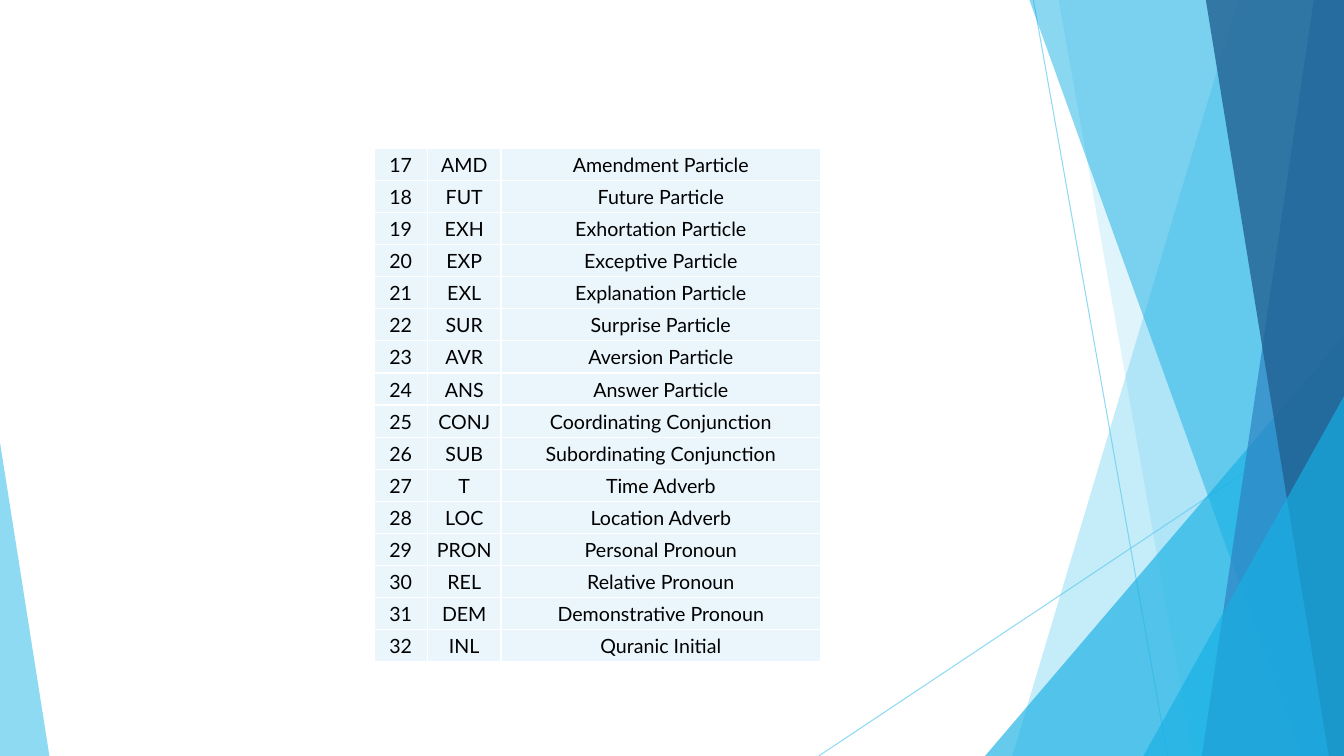
from lxml import etree
from pptx import Presentation
from pptx.dml.color import RGBColor
from pptx.enum.shapes import MSO_CONNECTOR, MSO_SHAPE
from pptx.enum.text import MSO_ANCHOR, PP_ALIGN
from pptx.oxml import parse_xml
from pptx.oxml.ns import nsdecls, qn
from pptx.util import Inches, Pt

WIDTH, HEIGHT = 13.33, 7.5
SKY, AZURE, BLUE, NAVY = "5FCBEF", "17B0E4", "2E83C3", "226292"
CELL_FILL, TEXT, BORDER = "EAF6FC", "000000", "FFFFFF"

FIRST_NUMBER = 17
TAGS = [
    ("AMD", "Amendment Particle"),
    ("FUT", "Future Particle"),
    ("EXH", "Exhortation Particle"),
    ("EXP", "Exceptive Particle"),
    ("EXL", "Explanation Particle"),
    ("SUR", "Surprise Particle"),
    ("AVR", "Aversion Particle"),
    ("ANS", "Answer Particle"),
    ("CONJ", "Coordinating Conjunction"),
    ("SUB", "Subordinating Conjunction"),
    ("T", "Time Adverb"),
    ("LOC", "Location Adverb"),
    ("PRON", "Personal Pronoun"),
    ("REL", "Relative Pronoun"),
    ("DEM", "Demonstrative Pronoun"),
    ("INL", "Quranic Initial"),
]
TABLE_LEFT, TABLE_TOP, TABLE_HEIGHT = 3.71, 1.47, 5.1
COLUMN_WIDTHS = [0.53, 0.73, 3.17]

RAYS = [(10.25, 0, 11.58, HEIGHT), (WIDTH, 4.03, 8.12, HEIGHT)]

# Back to front. Band: left edge at top and bottom, running to the slide's right side.
# Wedge: left, top, width and apex position, standing on the slide's bottom.
FACETS = [
    ("band", (12.28, 10.04), SKY, 36),
    ("band", (10.5, 11.83), SKY, 20),
    ("wedge", (9.77, 3.33, 3.56, 1), AZURE, 66),
    ("band", (10.21, 12.91), AZURE, 50),
    ("band", (13.03, 11.92), BLUE, 70),
    ("band", (11.96, 13.18), NAVY, 80),
    ("wedge", (11.34, 3.93, 1.99, 1), AZURE, 66),
    ("wedge", (0, 4.39, 0.49, 0), SKY, 70),
]


def rgb(color):
    return RGBColor.from_string(color)


def set_opacity(color_parent, percent):
    color = color_parent.find(".//" + qn("a:srgbClr"))
    etree.SubElement(color, qn("a:alpha")).set("val", str(percent * 1000))


def add_ray(shapes, x1, y1, x2, y2):
    ray = shapes.add_connector(MSO_CONNECTOR.STRAIGHT, *map(Inches, (x1, y1, x2, y2)))
    ray.line.color.rgb = rgb(SKY)
    ray.line.width = Pt(0.75)
    properties = ray._element.spPr
    set_opacity(properties, 70)
    etree.SubElement(properties, qn("a:effectLst"))


def add_band(shapes, top_x, bottom_x):
    corners = [(WIDTH, 0), (WIDTH, HEIGHT), (bottom_x, HEIGHT)]
    builder = shapes.build_freeform(Inches(top_x), 0)
    builder.add_line_segments([(Inches(x), Inches(y)) for x, y in corners])
    return builder.convert_to_shape()


def add_wedge(shapes, left, top, width, apex):
    wedge = shapes.add_shape(MSO_SHAPE.ISOSCELES_TRIANGLE,
                             *map(Inches, (left, top, width, HEIGHT - top)))
    wedge.adjustments[0] = apex
    return wedge


def add_facet(shapes, kind, geometry, color, opacity):
    add = add_band if kind == "band" else add_wedge
    facet = add(shapes, *geometry)
    facet.shadow.inherit = False
    facet.line.fill.background()
    facet.fill.solid()
    facet.fill.fore_color.rgb = rgb(color)
    set_opacity(facet._element.spPr, opacity)


def fill_cell(cell, text):
    cell.fill.solid()
    cell.fill.fore_color.rgb = rgb(CELL_FILL)
    cell.margin_left = cell.margin_top = cell.margin_right = Inches(0.01)
    cell.margin_bottom = 0
    cell.vertical_anchor = MSO_ANCHOR.MIDDLE
    paragraph = cell.text_frame.paragraphs[0]
    paragraph.alignment = PP_ALIGN.CENTER
    run = paragraph.add_run()
    run.text = text
    run.font.name = "Lato"
    run.font.size = Pt(14)
    run.font.color.rgb = rgb(TEXT)
    properties = cell._tc.get_or_add_tcPr()
    for index, side in enumerate(("lnL", "lnR", "lnT", "lnB")):
        properties.insert(index, parse_xml(
            f'<a:{side} {nsdecls("a")} w="{Pt(1)}"><a:solidFill>'
            f'<a:srgbClr val="{BORDER}"/></a:solidFill></a:{side}>'))


def add_tag_table(shapes):
    frame = shapes.add_table(len(TAGS), len(COLUMN_WIDTHS), Inches(TABLE_LEFT), Inches(TABLE_TOP),
                             Inches(sum(COLUMN_WIDTHS)), Inches(TABLE_HEIGHT))
    table = frame.table
    table.first_row = table.horz_banding = False
    for column, width in zip(table.columns, COLUMN_WIDTHS):
        column.width = Inches(width)
    for row, (number, tag) in zip(table.rows, enumerate(TAGS, FIRST_NUMBER)):
        for cell, text in zip(row.cells, (str(number), *tag)):
            fill_cell(cell, text)


def main():
    deck = Presentation()
    deck.slide_width, deck.slide_height = Inches(WIDTH), Inches(HEIGHT)
    shapes = deck.slides.add_slide(deck.slide_layouts[6]).shapes
    for ray in RAYS:
        add_ray(shapes, *ray)
    for facet in FACETS:
        add_facet(shapes, *facet)
    add_tag_table(shapes)
    deck.save("out.pptx")


if __name__ == "__main__":
    main()
